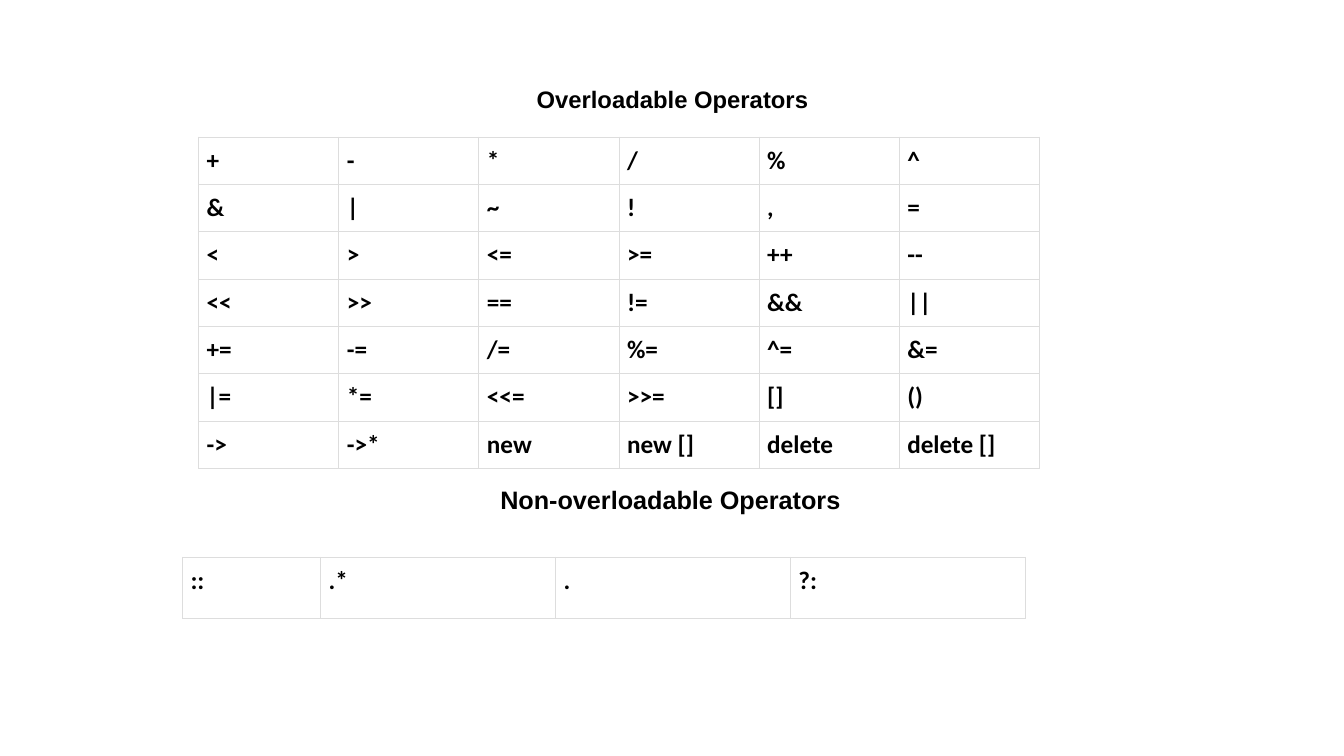
import pptx
import pptx.dml.color
import pptx.enum.text
import pptx.oxml
import pptx.oxml.ns
import pptx.util
from dataclasses import dataclass

Inches = pptx.util.Inches
Pt = pptx.util.Pt


@dataclass(frozen=True)
class Theme:
    background: str = "FFFFFF"
    ink: str = "000000"
    border: str = "DDDDDD"
    border_width: float = 0.75
    heading_font: str = "Arial"
    cell_font: str = "Calibri"
    title_size: int = 17
    body_size: int = 18
    cell_margin: float = 0.08


class SlideBuilder:
    def __init__(self, slide, theme):
        self.s = slide
        self.theme = theme
        fill = slide.background.fill
        fill.solid()
        fill.fore_color.rgb = pptx.dml.color.RGBColor.from_string(theme.background)

    def add_run(self, p, text, font, size):
        r = p.add_run()
        r.text = text
        r.font.name = font
        r.font.size = Pt(size)
        r.font.bold = True
        r.font.color.rgb = pptx.dml.color.RGBColor.from_string(self.theme.ink)

    def heading(self, text, left, top, width, height, size):
        sp = self.s.shapes.add_textbox(
            Inches(left), Inches(top), Inches(width), Inches(height))
        tf = sp.text_frame
        tf.word_wrap = True
        tf.vertical_anchor = pptx.enum.text.MSO_ANCHOR.MIDDLE
        p = tf.paragraphs[0]
        p.alignment = pptx.enum.text.PP_ALIGN.CENTER
        self.add_run(p, text, self.theme.heading_font, size)

    def cell_borders(self, cell):
        tc_pr = cell._tc.get_or_add_tcPr()
        for side in ("lnL", "lnR", "lnT", "lnB"):
            tc_pr.append(pptx.oxml.parse_xml(
                f'<a:{side} {pptx.oxml.ns.nsdecls("a")} '
                f'w="{Pt(self.theme.border_width)}"><a:solidFill>'
                f'<a:srgbClr val="{self.theme.border}"/></a:solidFill></a:{side}>'))

    def table(self, rows, left, top, col_widths, row_height):
        table = self.s.shapes.add_table(
            len(rows), len(col_widths), Inches(left), Inches(top),
            Inches(sum(col_widths)), Inches(row_height * len(rows))).table
        table.first_row = False
        table.horz_banding = False
        for column, width in zip(table.columns, col_widths):
            column.width = Inches(width)
        margin = Inches(self.theme.cell_margin)
        for row, texts in zip(table.rows, rows):
            row.height = Inches(row_height)
            for cell, text in zip(row.cells, texts):
                cell.margin_left = cell.margin_right = margin
                cell.margin_top = cell.margin_bottom = margin
                self.cell_borders(cell)
                cell.fill.background()
                self.add_run(cell.text_frame.paragraphs[0], text,
                             self.theme.cell_font, self.theme.body_size)


OVERLOADABLE = [
    ["+", "-", "*", "/", "%", "^"],
    ["&", "|", "~", "!", ",", "="],
    ["<", ">", "<=", ">=", "++", "--"],
    ["<<", ">>", "==", "!=", "&&", "||"],
    ["+=", "-=", "/=", "%=", "^=", "&="],
    ["|=", "*=", "<<=", ">>=", "[]", "()"],
    ["->", "->*", "new", "new []", "delete", "delete []"],
]
NON_OVERLOADABLE = [["::", ".*", ".", "?:"]]


def main():
    prs = pptx.Presentation()
    prs.slide_width = Inches(13.33)
    prs.slide_height = Inches(7.5)
    theme = Theme()
    s = SlideBuilder(prs.slides.add_slide(prs.slide_layouts[6]), theme)

    # Overloadable operators
    s.heading("Overloadable Operators", 0.92, 0.78, 11.5, 0.4, theme.title_size)
    s.table(OVERLOADABLE, 1.97, 1.36, [1.39] * 6, 0.47)

    # Non-overloadable operators
    s.heading("Non-overloadable Operators", 0.9, 4.76, 11.5, 0.4, theme.body_size)
    s.table(NON_OVERLOADABLE, 1.81, 5.53, [1.37] + [2.33] * 3, 0.61)

    prs.save("out.pptx")


if __name__ == "__main__":
    main()
